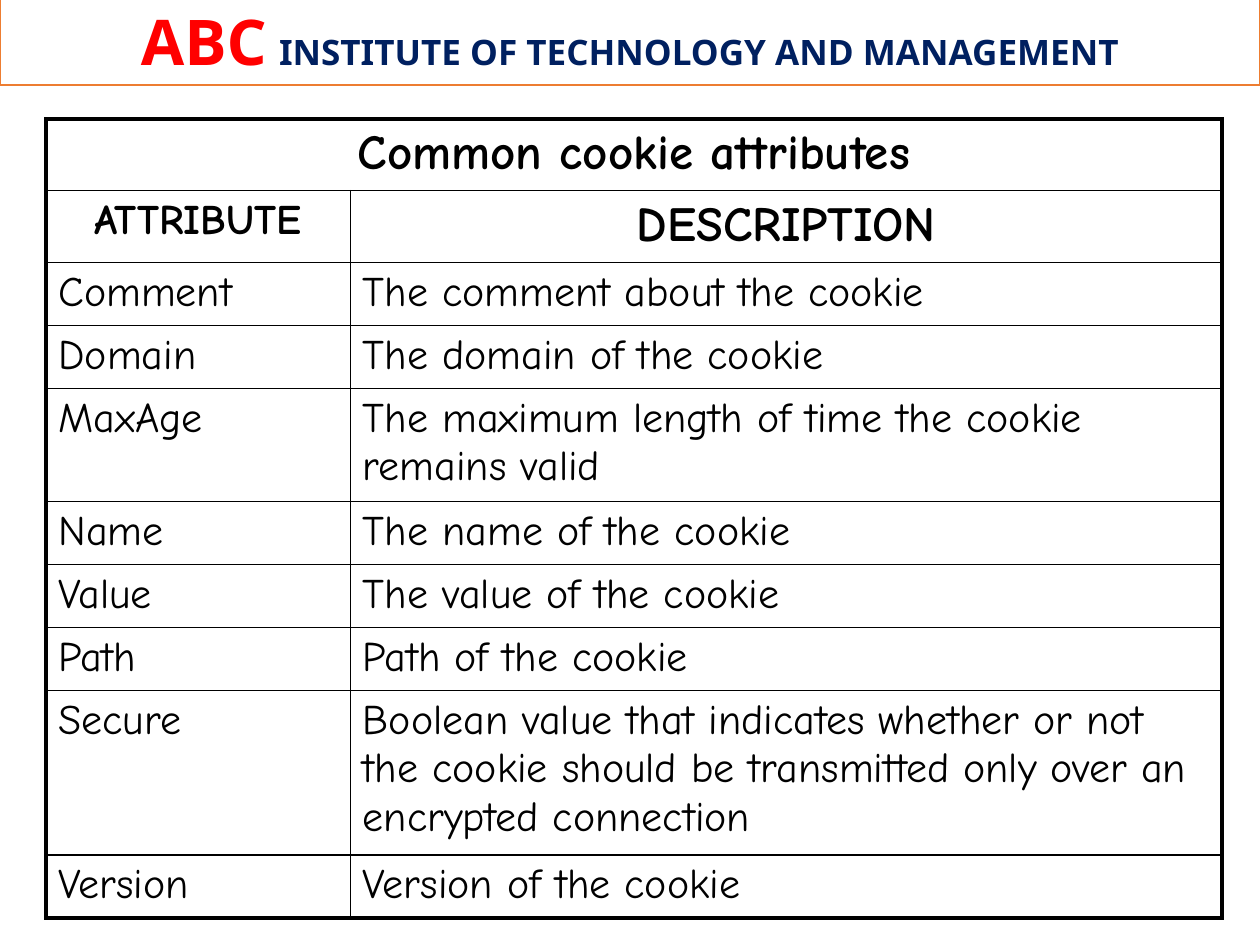
from dataclasses import dataclass

from lxml.etree import SubElement
from pptx import Presentation
from pptx.dml.color import RGBColor
from pptx.enum.text import MSO_ANCHOR, MSO_AUTO_SIZE, PP_ALIGN
from pptx.oxml import parse_xml
from pptx.oxml.ns import nsdecls, qn
from pptx.util import Pt


@dataclass(frozen=True)
class Theme:
    banner_font: str = "Noto Sans"
    table_font: str = "Comic Neue"
    white: str = "FFFFFF"
    black: str = "000000"
    red: str = "FF0000"
    navy: str = "002060"
    orange: str = "ED7D31"
    initials_size: float = 36
    gap_size: float = 27
    institute_size: float = 20
    heading_size: float = 28
    body_size: float = 24
    outer_line: float = 2.25
    inner_line: float = 1


THEME = Theme()
TITLE = "Common cookie attributes"
ATTRIBUTES = [
    ("ATTRIBUTE", "DESCRIPTION"),
    ("Comment", "The comment about the cookie"),
    ("Domain", "The domain of the cookie"),
    ("MaxAge", "The maximum length of time the cookie remains valid"),
    ("Name", "The name of the cookie"),
    ("Value", "The value of the cookie"),
    ("Path", "Path of the cookie"),
    ("Secure", "Boolean value that indicates whether or not the cookie "
               "should be transmitted only over an encrypted connection"),
    ("Version", "Version of the cookie"),
]
COLUMN_WIDTHS = (174, 498)
HEADING_HEIGHT = 41
BODY_HEIGHTS = {"MaxAge": 64.5, "Secure": 94}
LINE_HEIGHT = 36


def format_run(run, font, size, color, bold):
    run.font.name = font
    run.font.size = Pt(size)
    run.font.color.rgb = RGBColor.from_string(color)
    run.font.bold = bold


def add_banner(slide, left, top, width, height):
    banner = slide.shapes.title
    banner.left, banner.top, banner.width, banner.height = map(Pt, (left, top, width, height))
    banner.fill.solid()
    banner.fill.fore_color.rgb = RGBColor.from_string(THEME.white)
    banner.line.color.rgb = RGBColor.from_string(THEME.orange)
    banner.line.width = Pt(1)
    frame = banner.text_frame
    frame.margin_left = frame.margin_right = frame.margin_top = frame.margin_bottom = 0
    frame.vertical_anchor = MSO_ANCHOR.MIDDLE
    frame.auto_size = MSO_AUTO_SIZE.NONE
    paragraph = frame.paragraphs[0]
    paragraph.alignment = PP_ALIGN.CENTER
    paragraph.space_after = Pt(2)
    for text, size, color in (
        ("ABC", THEME.initials_size, THEME.red),
        (" ", THEME.gap_size, THEME.red),
        ("INSTITUTE OF TECHNOLOGY AND MANAGEMENT", THEME.institute_size, THEME.navy),
    ):
        run = paragraph.add_run()
        run.text = text
        format_run(run, THEME.banner_font, size, color, True)


def set_borders(cell, outer_sides):
    """Draw all four sides, with the heavier line on the outer ones."""
    properties = cell._tc.get_or_add_tcPr()
    for index, side in enumerate("LRTB"):
        width = THEME.outer_line if side in outer_sides else THEME.inner_line
        properties.insert(index, parse_xml(
            f'<a:ln{side} {nsdecls("a")} w="{Pt(width)}"><a:solidFill>'
            f'<a:srgbClr val="{THEME.black}"/></a:solidFill></a:ln{side}>'))


def fill_cell(cell, text, size, heading):
    cell.fill.background()
    cell.text_frame.text = text
    paragraph = cell.text_frame.paragraphs[0]
    paragraph.alignment = PP_ALIGN.CENTER if heading else PP_ALIGN.LEFT
    spacing = SubElement(paragraph._p.get_or_add_pPr(), qn("a:spcBef"))
    SubElement(spacing, qn("a:spcPct")).set("val", "20000")
    format_run(paragraph.runs[0], THEME.table_font, size, THEME.black, heading)


def add_attribute_table(slide, left, top):
    heights = [HEADING_HEIGHT] * 2
    heights += [BODY_HEIGHTS.get(name, LINE_HEIGHT) for name, _ in ATTRIBUTES[1:]]
    table = slide.shapes.add_table(
        len(heights), len(COLUMN_WIDTHS), Pt(left), Pt(top),
        Pt(sum(COLUMN_WIDTHS)), Pt(sum(heights))).table
    table.first_row = table.horz_banding = False
    for column, width in zip(table.columns, COLUMN_WIDTHS):
        column.width = Pt(width)
    for row, height in zip(table.rows, heights):
        row.height = Pt(height)

    title_cell = table.cell(0, 0)
    title_cell.merge(table.cell(0, 1))
    fill_cell(title_cell, TITLE, THEME.heading_size, True)
    set_borders(title_cell, "LRT")
    set_borders(table.cell(0, 1), "RT")

    for row_index, texts in enumerate(ATTRIBUTES, start=1):
        heading = row_index == 1
        bottom = "B" if row_index == len(ATTRIBUTES) else ""
        for column_index, text in enumerate(texts):
            cell = table.cell(row_index, column_index)
            large = heading and column_index == 1
            fill_cell(cell, text, THEME.heading_size if large else THEME.body_size, heading)
            set_borders(cell, "LR"[column_index] + bottom)


def main():
    presentation = Presentation()
    presentation.slide_width, presentation.slide_height = Pt(720), Pt(540)
    slide = presentation.slides.add_slide(presentation.slide_layouts[5])
    add_banner(slide, 0, -2.2, 720, 51)
    add_attribute_table(slide, 26.2, 68)
    presentation.save("out.pptx")


if __name__ == "__main__":
    main()
